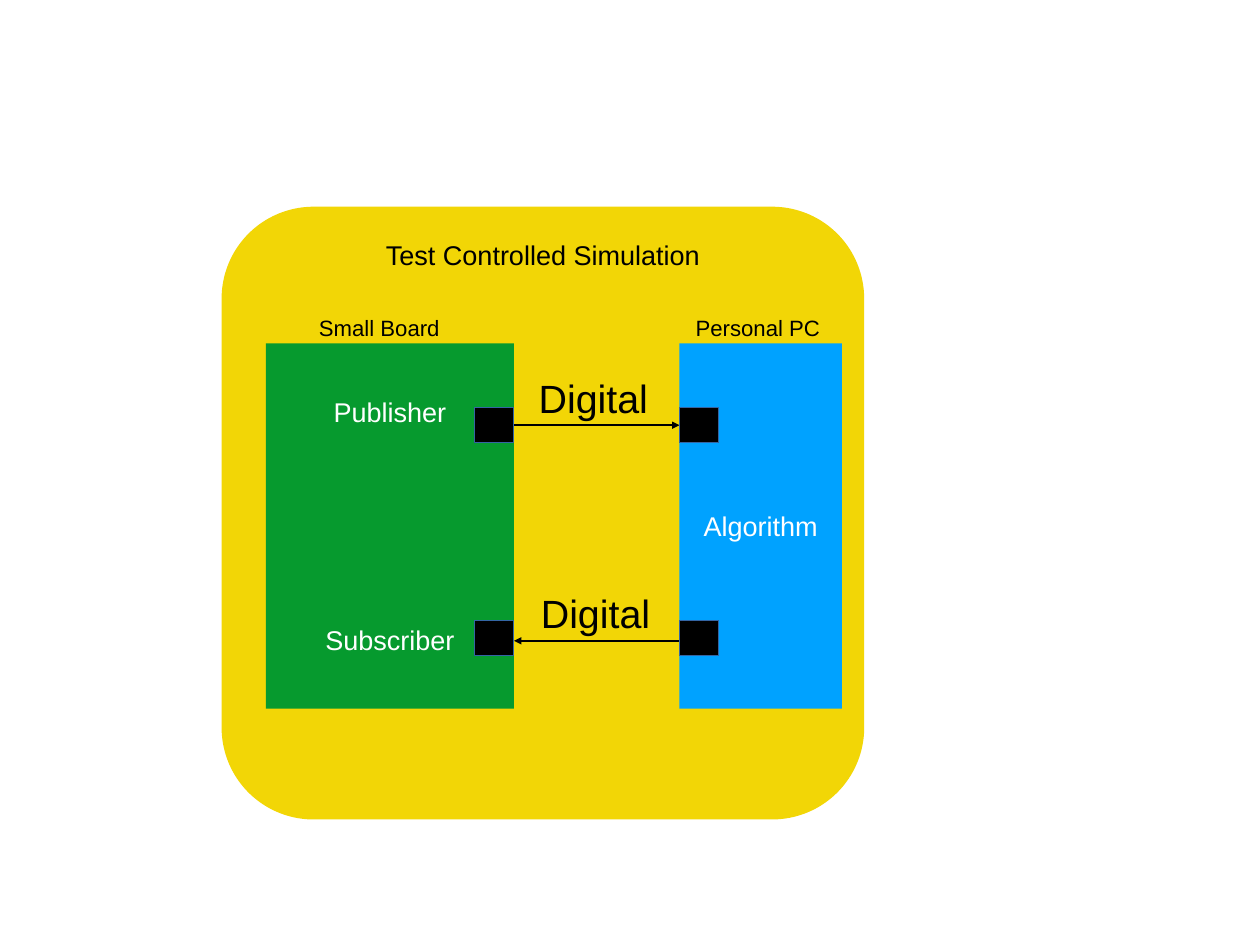
"""Draw the test controlled simulation: two computers exchanging digital messages."""
from dataclasses import dataclass
from itertools import product

from lxml.etree import SubElement
from pptx import Presentation
from pptx.dml.color import RGBColor
from pptx.enum.shapes import MSO_CONNECTOR, MSO_SHAPE
from pptx.enum.text import MSO_ANCHOR, PP_ALIGN
from pptx.oxml.ns import qn
from pptx.shapes.base import BaseShape
from pptx.slide import Slide
from pptx.util import Inches, Pt

COLOURS = {
    "yellow": "F2D606", "blue": "00A2FF", "green": "069A2E",
    "black": "000000", "white": "FFFFFF", "edge": "3465A4",
}
WIDTH, HEIGHT = Inches(14.22), Inches(10.67)
ROWS = 128
CELL = HEIGHT / ROWS
PORT_COLS, PORT_ROWS = (64.2, 92), (55.2, 84)
PORT_WIDTH, PORT_HEIGHT = 5.3, 4.8


@dataclass(frozen=True)
class Block:
    col: float
    row: float
    cols: float
    rows: float
    fill: str
    lines: tuple[str, ...] = ()
    colour: str = "white"
    kind: MSO_SHAPE = MSO_SHAPE.RECTANGLE
    anchor: MSO_ANCHOR = MSO_ANCHOR.MIDDLE
    gap: float = 0
    edge: str = ""


@dataclass(frozen=True)
class Label:
    col: float
    row: float
    cols: float
    rows: float
    text: str
    size: float
    anchor: MSO_ANCHOR
    margins: tuple[float, float]


@dataclass(frozen=True)
class Arrow:
    start: float
    end: float
    row: float


BLOCKS = (
    Block(30, 28, 87, 83, "yellow", ("Test Controlled Simulation",), "black",
          MSO_SHAPE.ROUNDED_RECTANGLE, MSO_ANCHOR.TOP),
    Block(92, 46.5, 22, 49.5, "blue", ("Algorithm",)),
    Block(36, 46.5, 33.6, 49.5, "green", ("Publisher", "Subscriber"), gap=159),
)
ARROWS = (Arrow(69.6, 92, 57.6), Arrow(96, 69.6, 86.8))
LABELS = (
    Label(72.2, 50, 17.5, 7.8, "Digital", 32, MSO_ANCHOR.MIDDLE, (0.06, 0.06)),
    Label(72.5, 79.1, 17.5, 7.8, "Digital", 32, MSO_ANCHOR.MIDDLE, (0.06, 0.06)),
    Label(42, 42, 19.2, 4.5, "Small Board", 18, MSO_ANCHOR.TOP, (0.1, 0.05)),
    Label(93, 42, 19.2, 4.5, "Personal PC", 18, MSO_ANCHOR.TOP, (0.1, 0.05)),
)
PORTS = tuple(
    Block(col, row, PORT_WIDTH, PORT_HEIGHT, "black", edge="edge")
    for col, row in product(PORT_COLS, PORT_ROWS)
)


def cells(*counts: float) -> list[int]:
    return [round(count * CELL) for count in counts]


def rgb(name: str) -> RGBColor:
    return RGBColor.from_string(COLOURS[name])


def apply(target: object, values: dict[str, object]) -> None:
    for name, value in values.items():
        setattr(target, name, value)


def write(s: BaseShape, lines: tuple[str, ...], size: float, colour: str,
          align: PP_ALIGN, anchor: MSO_ANCHOR,
          margins: tuple[float, float] = (0.06, 0.06), gap: float = 0) -> None:
    tf = s.text_frame
    side, end = map(Inches, margins)
    apply(tf, {
        "word_wrap": True, "vertical_anchor": anchor,
        "margin_left": side, "margin_right": side,
        "margin_top": end, "margin_bottom": end,
    })
    for i, line in enumerate(lines):
        p = tf.add_paragraph() if i else tf.paragraphs[0]
        apply(p, {"alignment": align, "space_before": Pt(gap if i else 0)})
        r = p.add_run()
        r.text = line
        apply(r.font, {"name": "Arial", "size": Pt(size)})
        r.font.color.rgb = rgb(colour)


def draw_block(slide: Slide, block: Block) -> None:
    s = slide.shapes.add_shape(
        block.kind, *cells(block.col, block.row, block.cols, block.rows))
    s.shadow.inherit = False
    s.fill.solid()
    s.fill.fore_color.rgb = rgb(block.fill)
    if block.edge:
        s.line.color.rgb = rgb(block.edge)
        s.line.width = Pt(0)
    else:
        s.line.fill.background()
    if block.kind == MSO_SHAPE.ROUNDED_RECTANGLE:
        s.adjustments[0] = 0.15
    if block.lines:
        write(s, block.lines, 22, block.colour, PP_ALIGN.CENTER,
              block.anchor, gap=block.gap)


def draw_label(slide: Slide, label: Label) -> None:
    s = slide.shapes.add_textbox(
        *cells(label.col, label.row, label.cols, label.rows))
    write(s, (label.text,), label.size, "black", PP_ALIGN.LEFT,
          label.anchor, label.margins)


def draw_arrow(slide: Slide, arrow: Arrow) -> None:
    s = slide.shapes.add_connector(
        MSO_CONNECTOR.STRAIGHT,
        *cells(arrow.start, arrow.row, arrow.end, arrow.row))
    s.line.color.rgb = rgb("black")
    s.line.width = Pt(2)
    SubElement(s.line._get_or_add_ln(), qn("a:tailEnd"), type="triangle")
    SubElement(s._element.spPr, qn("a:effectLst"))


def main() -> None:
    prs = Presentation()
    apply(prs, {"slide_width": WIDTH, "slide_height": HEIGHT})
    slide = prs.slides.add_slide(prs.slide_layouts[6])
    for block in BLOCKS:
        draw_block(slide, block)
    for arrow in ARROWS:
        draw_arrow(slide, arrow)
    for label in LABELS:
        draw_label(slide, label)
    for port in PORTS:
        draw_block(slide, port)
    prs.save("out.pptx")


if __name__ == "__main__":
    main()
